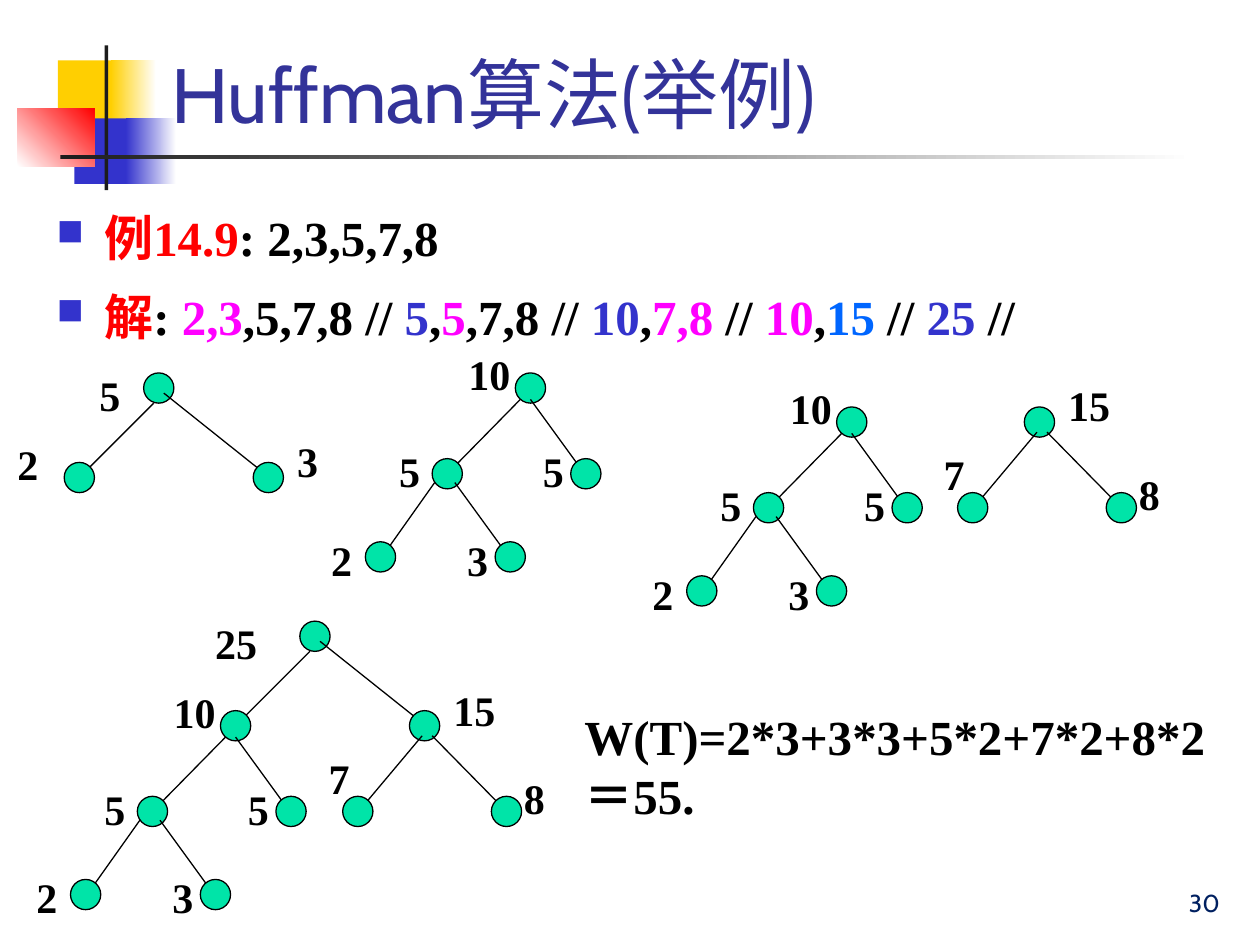
"""Build the slide that works through a Huffman tree example."""
from lxml import etree
from pptx import Presentation, util as u
from pptx.dml.color import RGBColor
from pptx.enum import shapes, text
from pptx.oxml import ns

WHITE = RGBColor(0xFF, 0xFF, 0xFF)
BLACK = RGBColor(0x00, 0x00, 0x00)
CHARCOAL = RGBColor(0x1C, 0x1C, 0x1C)
YELLOW = RGBColor(0xFF, 0xCF, 0x01)
BLUE = RGBColor(0x33, 0x33, 0xCC)
RED = RGBColor(0xFF, 0x00, 0x00)
MAGENTA = RGBColor(0xFF, 0x00, 0xFF)
SKY = RGBColor(0x00, 0x66, 0xFF)
INDIGO = RGBColor(0x33, 0x33, 0x99)
NAVY = RGBColor(0x00, 0x20, 0x60)
GREEN = RGBColor(0x00, 0xE4, 0xA8)
SERIF = "Times New Roman"
SANS = "Cabin"
NODE = 0.24

# Each branch holds the line start, child offset and label offset.
TOP_FORK = (((0.08, 0.24), (-0.63, 0.71), (-0.47, -0.24)),
            ((0.16, 0.16), (0.87, 0.71), (0.25, -0.26)))
TEN_FORK = (((0.04, 0.21), (-0.66, 0.68), (-0.36, -0.15)),
            ((0.12, 0.21), (0.44, 0.68), (-0.32, -0.15)))
FIFTEEN_FORK = (((0.1, 0.2), (-0.53, 0.68), (-0.21, -0.4)),
                ((0.18, 0.2), (0.65, 0.68), (0.16, -0.24)))
FIVE_FORK = (((0.02, 0.19), (-0.53, 0.66), (-0.37, -0.11)),
             ((0.18, 0.19), (0.5, 0.66), (-0.32, -0.11)))


def leaf(label):
    """Return a tree node without branches."""
    return label, (), ()


FIVE = ("5", FIVE_FORK, (leaf("2"), leaf("3")))
TEN = ("10", TEN_FORK, (FIVE, leaf("5")))
FIFTEEN = ("15", FIFTEEN_FORK, (leaf("7"), leaf("8")))
FIRST = ("5", TOP_FORK, (leaf("2"), leaf("3")))
FINAL = ("25", TOP_FORK, (TEN, FIFTEEN))


def inches(*lengths):
    """Convert numbers to lengths."""
    return [u.Inches(length) for length in lengths]


def add_span(para, words, size=24, font=SERIF, color=BLACK, bold=True):
    """Add one formatted run to a paragraph."""
    span = para.add_run()
    span.text = words
    span.font.size = u.Pt(size)
    span.font.name = font
    span.font.bold = bold
    span.font.color.rgb = color
    return span


def add_box(parent, box, lines, wrap=False, anchor=text.MSO_ANCHOR.TOP,
            align=text.PP_ALIGN.LEFT, **style):
    """Add a text box with one paragraph for each line."""
    frame = parent.shapes.add_textbox(*inches(*box)).text_frame
    frame.word_wrap = wrap
    if not wrap:
        frame.auto_size = text.MSO_AUTO_SIZE.SHAPE_TO_FIT_TEXT
    frame.vertical_anchor = anchor
    for index, line in enumerate(lines):
        para = frame.add_paragraph() if index else frame.paragraphs[0]
        para.alignment = align
        add_span(para, line, **style)


def add_panel(page, box, color, end=None, angle=0):
    """Add a borderless rectangle, solid or fading to an end colour."""
    panel = page.shapes.add_shape(shapes.MSO_SHAPE.RECTANGLE, *inches(*box))
    panel.shadow.inherit = False
    panel.line.fill.background()
    if end is None:
        panel.fill.solid()
        panel.fill.fore_color.rgb = color
        return
    panel.fill.gradient()
    panel.fill.gradient_angle = angle
    for stop, shade in zip(panel.fill.gradient_stops, (color, end)):
        stop.color.rgb = shade


def add_emblem(page, left, top):
    """Place the coloured squares and the crossing rules."""
    for dx, dy, width, height, *fill in (
            (0.32, 0.12, 0.48, 0.52, YELLOW),
            (0.74, 0.12, 0.36, 0.52, YELLOW, WHITE),
            (0.45, 0.58, 0.46, 0.52, BLUE),
            (0.86, 0.58, 0.4, 0.52, BLUE, WHITE),
            (0, 0.5, 0.61, 0.46, WHITE, RED, 45),
            (0.69, 0, 0.03, 1.15, CHARCOAL),
            (0.34, 0.87, 9, 0.03, CHARCOAL, WHITE)):
        add_panel(page, (left + dx, top + dy, width, height), *fill)


def set_title(page, box, words):
    """Place and format the title placeholder with a soft text shadow."""
    title = page.shapes.title
    title.left, title.top, title.width, title.height = inches(*box)
    title.text_frame.vertical_anchor = text.MSO_ANCHOR.BOTTOM
    para = title.text_frame.paragraphs[0]
    para.alignment = text.PP_ALIGN.LEFT
    span = add_span(para, words, size=44, font=SANS, color=INDIGO, bold=False)
    effects = etree.Element(ns.qn("a:effectLst"))
    shadow = etree.SubElement(effects, ns.qn("a:outerShdw"), dist="25400", dir="2700000")
    etree.SubElement(shadow, ns.qn("a:srgbClr"), val=str(BLACK))
    span.font.fill._xPr.find(ns.qn("a:solidFill")).addnext(effects)


def add_bullet(para):
    """Give a paragraph a blue square bullet and a hanging indent."""
    settings = para._p.get_or_add_pPr()
    settings.set("marL", str(u.Inches(0.38)))
    settings.set("indent", str(u.Inches(-0.38)))
    color = etree.SubElement(settings, ns.qn("a:buClr"))
    etree.SubElement(color, ns.qn("a:srgbClr"), val=str(BLUE))
    etree.SubElement(settings, ns.qn("a:buSzPct"), val="75000")
    etree.SubElement(settings, ns.qn("a:buChar"), char="■")


def add_steps(page, box, items):
    """Write the bulleted example and its merging steps."""
    frame = page.shapes.add_textbox(*inches(*box)).text_frame
    frame.word_wrap = True
    for index, spans in enumerate(items):
        para = frame.add_paragraph() if index else frame.paragraphs[0]
        add_bullet(para)
        para.line_spacing = 1.1
        para.space_before = u.Pt(8.4 if index else 0)
        for words, color in spans:
            add_span(para, words, size=28, color=color)


def add_tree(group, left, top, tree, shift):
    """Draw a node, its label and its branches from the node corner."""
    label, fork, children = tree
    node = group.shapes.add_shape(shapes.MSO_SHAPE.OVAL, *inches(left, top, NODE, NODE))
    node.shadow.inherit = False
    node.fill.solid()
    node.fill.fore_color.rgb = GREEN
    node.line.color.rgb = BLACK
    node.line.width = u.Pt(0.75)
    width = 0.21 + 0.16 * len(label)
    add_box(group, (left + shift[0], top + shift[1], width, 0.5), [label])
    for (start, child, _), inset in zip(fork, (0.16, 0.08)):
        edge = group.shapes.add_connector(
            shapes.MSO_CONNECTOR.STRAIGHT,
            *inches(left + start[0], top + start[1],
                    left + child[0] + inset, top + child[1] + 0.08))
        edge.line.color.rgb = BLACK
        edge.line.width = u.Pt(0.75)
        etree.SubElement(edge._element.spPr, ns.qn("a:effectLst"))
    for (_, child, child_shift), subtree in zip(fork, children):
        add_tree(group, left + child[0], top + child[1], subtree, child_shift)


def add_forest(page, *trees):
    """Draw trees together in one group."""
    group = page.shapes.add_group_shape()
    for tree in trees:
        add_tree(group, *tree)


def main():
    """Build and save the deck."""
    deck = Presentation()
    deck.slide_width, deck.slide_height = inches(10, 7.5)
    page = deck.slides.add_slide(deck.slide_layouts[5])
    add_emblem(page, 0.14, 0.36)
    set_title(page, (1.26, 0.08, 8.52, 1.07), "Huffman算法(举例)")
    add_steps(page, (0.35, 1.55, 9.29, 5.75), (
        (("例14.9", RED), (": 2,3,5,7,8", BLACK)),
        (("解", RED), (": ", BLACK), ("2,3", MAGENTA), (",5,7,8 // ", BLACK),
         ("5", BLUE), (",", BLACK), ("5", MAGENTA), (",7,8 // ", BLACK),
         ("10", BLUE), (",", BLACK), ("7,8", MAGENTA), (" // ", BLACK),
         ("10", MAGENTA), (",", BLACK), ("15", SKY), (" // ", BLACK),
         ("25", BLUE), (" //", BLACK))))
    add_forest(page, (1.14, 2.96, FIRST, (-0.45, -0.08)))
    add_forest(page, (2.38, 4.93, FINAL, (-0.77, -0.08)))
    add_box(page, (4.54, 5.56, 5.18, 1.04),
            ["W(T)=2*3+3*3+5*2+7*2+8*2", "＝55."], size=28)
    add_forest(page, (4.09, 2.96, TEN, (-0.47, -0.24)))
    add_forest(page, (6.64, 3.23, TEN, (-0.47, -0.24)),
               (8.13, 3.23, FIFTEEN, (0.25, -0.27)))
    add_box(page, (7.7, 6.83, 2.08, 0.5), ["30"], wrap=True,
            anchor=text.MSO_ANCHOR.BOTTOM, align=text.PP_ALIGN.RIGHT,
            size=14, font=SANS, color=NAVY, bold=False)
    deck.save("out.pptx")


if __name__ == "__main__":
    main()
